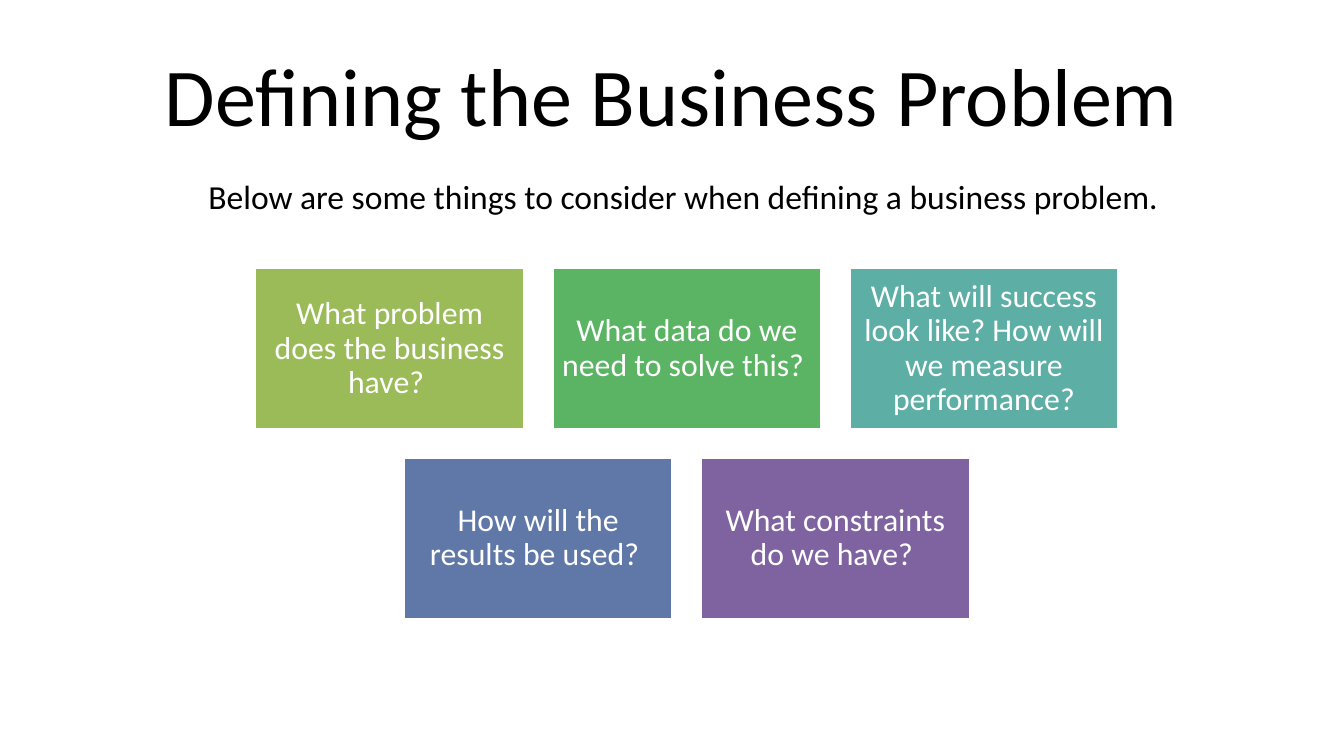
"""Build a slide of questions that help to define a business problem."""
import pptx
import pptx.dml.color
import pptx.enum.shapes
import pptx.enum.text
import pptx.util

Inches = pptx.util.Inches
RGBColor = pptx.dml.color.RGBColor

BLACK = RGBColor(0x00, 0x00, 0x00)
WHITE = RGBColor(0xFF, 0xFF, 0xFF)
OLIVE = RGBColor(0x9B, 0xBB, 0x59)
GREEN = RGBColor(0x5A, 0xB4, 0x63)
TEAL = RGBColor(0x5D, 0xAE, 0xA5)
BLUE = RGBColor(0x60, 0x78, 0xA8)
PURPLE = RGBColor(0x7F, 0x63, 0xA1)

FONT = "Calibri"
SLIDE_WIDTH = 10
SLIDE_HEIGHT = SLIDE_WIDTH * 9 / 16
CARD_WIDTH, CARD_HEIGHT = 2.01, 1.21
CARD_GAP = CARD_WIDTH / 10
GRID_CENTER, GRID_TOP = 5.11, 1.99

QUESTION_ROWS = [
    [
        ("What problem does the business have? ", OLIVE),
        ("What data do we need to solve this? ", GREEN),
        ("What will success look like? How will we measure performance?", TEAL),
    ],
    [
        ("How will the results be used? ", BLUE),
        ("What constraints do we have? ", PURPLE),
    ],
]


def write_text(shape, text, *, size, color=BLACK, line_spacing=None,
               margins=(0.1, 0.05), anchor=pptx.enum.text.MSO_ANCHOR.MIDDLE):
    """Write one centred paragraph into a shape."""
    frame = shape.text_frame
    frame.word_wrap = True
    frame.vertical_anchor = anchor
    frame.margin_left = frame.margin_right = Inches(margins[0])
    frame.margin_top = frame.margin_bottom = Inches(margins[1])
    paragraph = frame.paragraphs[0]
    paragraph.alignment = pptx.enum.text.PP_ALIGN.CENTER
    paragraph.line_spacing = line_spacing
    run = paragraph.add_run()
    run.text = text
    run.font.name = FONT
    run.font.size = pptx.util.Pt(size)
    run.font.color.rgb = color


def add_label(slide, text, left, top, width, height, **text_format):
    """Add a text box."""
    box = slide.shapes.add_textbox(*map(Inches, (left, top, width, height)))
    write_text(box, text, **text_format)


def add_card(slide, text, left, top, fill):
    """Add a coloured question card."""
    card = slide.shapes.add_shape(
        pptx.enum.shapes.MSO_SHAPE.RECTANGLE,
        *map(Inches, (left, top, CARD_WIDTH, CARD_HEIGHT)))
    card.shadow.inherit = False
    card.fill.solid()
    card.fill.fore_color.rgb = fill
    card.line.color.rgb = WHITE
    card.line.width = pptx.util.Pt(2)
    write_text(card, text, size=17, color=WHITE, line_spacing=0.9,
               margins=(0.07, 0.07))


def add_card_row(slide, questions, top):
    """Add a row of cards centred on the grid."""
    pitch = CARD_WIDTH + CARD_GAP
    left = GRID_CENTER - (len(questions) * pitch - CARD_GAP) / 2
    for column, (text, fill) in enumerate(questions):
        add_card(slide, text, left + column * pitch, top, fill)


def main():
    """Build and save the presentation."""
    presentation = pptx.Presentation()
    presentation.slide_width = Inches(SLIDE_WIDTH)
    presentation.slide_height = Inches(SLIDE_HEIGHT)
    slide = presentation.slides.add_slide(presentation.slide_layouts[6])
    add_label(slide, "Defining the Business Problem", 0.5, 0.23, 9, 0.94, size=44)
    for row, questions in enumerate(QUESTION_ROWS):
        add_card_row(slide, questions, GRID_TOP + row * (CARD_HEIGHT + CARD_GAP))
    add_label(
        slide,
        "Below are some things to consider when defining a business problem. ",
        0.9, 1.26, 8.43, 0.4, size=18, anchor=pptx.enum.text.MSO_ANCHOR.TOP)
    presentation.save("out.pptx")


if __name__ == "__main__":
    main()
